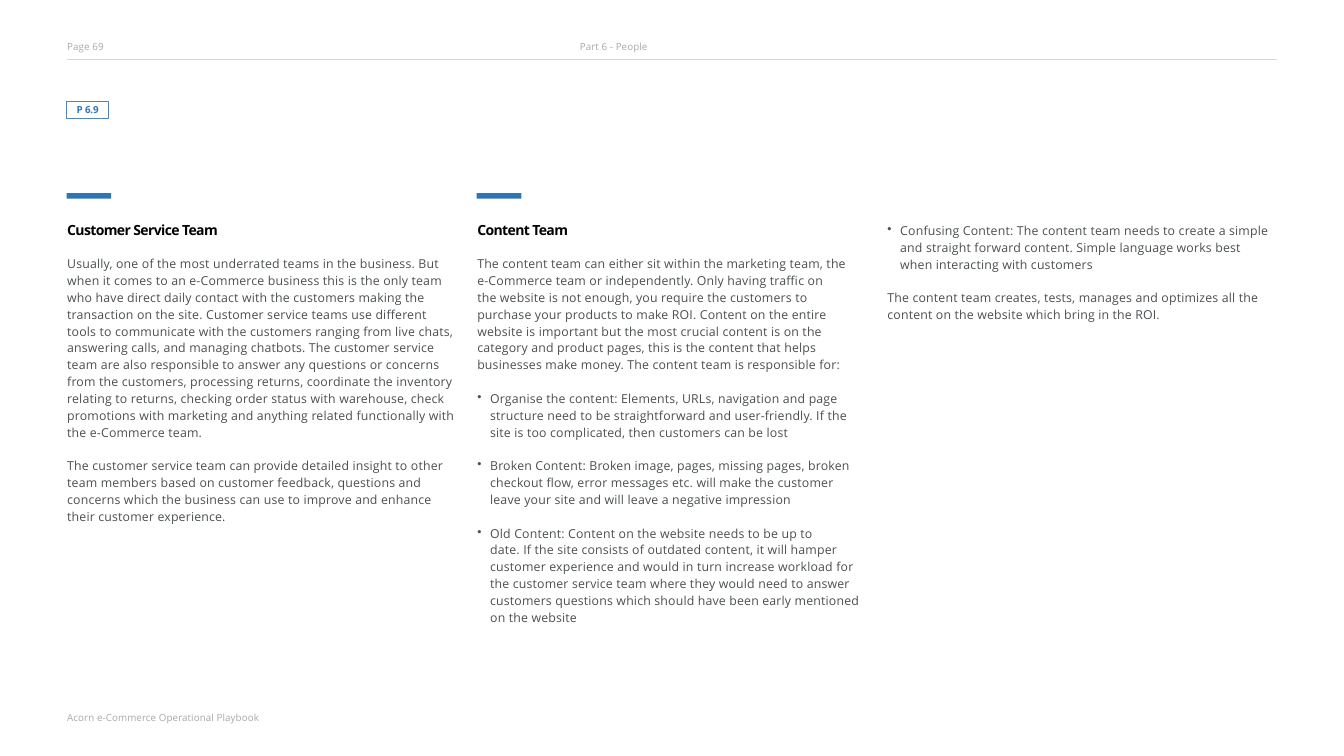
from pptx import Presentation
from pptx.dml.color import RGBColor
from pptx.enum.shapes import MSO_CONNECTOR, MSO_SHAPE
from pptx.enum.text import MSO_ANCHOR, PP_ALIGN
from pptx.oxml.ns import qn
from pptx.util import Inches, Pt
from lxml.etree import SubElement

BLUE = RGBColor(0x2E, 0x75, 0xB5)
EDGE = RGBColor(0x53, 0x83, 0xBD)
BLACK = RGBColor(0, 0, 0)
INK = RGBColor(0x4B, 0x4F, 0x51)
GREY = RGBColor(0xA7, 0xA8, 0xAA)
RULE = RGBColor(0xD8, 0xDA, 0xD9)

BODY = dict(size=14.5, color=INK, track=0.2, lead=1.14)
HEAD = dict(size=16.5, color=BLACK, track=-0.7, bold=True)
NOTE = dict(size=11.5, color=GREY, track=0.1)
ITEM = dict(BODY, indent=0.21, mark="•")
MORE = dict(BODY, indent=0.21)


def write(par, text, size, color, track=0, bold=False, lead=None,
          before=0, indent=0, mark=None, align=None):
    """Fill one paragraph; a vertical tab in the text is a line break."""
    props = par._p.get_or_add_pPr()
    if indent:
        props.set("marL", str(Inches(indent)))
    if mark:
        props.set("indent", str(-Inches(indent)))
        SubElement(props, qn("a:buChar")).set("char", mark)
    if lead:
        par.line_spacing = lead
    par.space_before = Pt(before)
    par.alignment = align
    for index, line in enumerate(text.split("\v")):
        if index:
            par.add_line_break()
        run = par.add_run()
        run.text = line
        font = run.font
        font.name, font.size, font.bold = "Open Sans", Pt(size), bold
        font.color.rgb = color
        run._r.get_or_add_rPr().set("spc", str(round(track * 100)))


class Page:
    """A slide on a grid of three columns and rows of equal pitch."""
    left, top = 1.09, 3.6
    pitch, step = 6.71, 1.1

    def __init__(self, deck):
        self.slide = deck.slides.add_slide(deck.slide_layouts[6])
        self.shapes = self.slide.shapes

    def spot(self, col, row):
        return (Inches(self.left + col * self.pitch),
                Inches(self.top + row * self.step))

    def text(self, col, row, wide, high, *parts):
        box = self.shapes.add_textbox(*self.spot(col, row),
                                      Inches(wide), Inches(high))
        frame = box.text_frame
        frame.word_wrap = True
        frame.margin_left, frame.margin_top = Inches(0.01), Inches(0.02)
        frame.margin_right = frame.margin_bottom = 0
        for index, (words, style) in enumerate(parts):
            par = frame.add_paragraph() if index else frame.paragraphs[0]
            write(par, words, **style)

    def rect(self, col, row, wide, high, fill=None, line=None):
        box = self.shapes.add_shape(MSO_SHAPE.RECTANGLE, *self.spot(col, row),
                                    Inches(wide), Inches(high))
        box.shadow.inherit = False
        if fill is not None:
            box.fill.solid()
            box.fill.fore_color.rgb = fill
        else:
            box.fill.background()
        if line is not None:
            box.line.color.rgb = line
            box.line.width = Pt(0.82)
        else:
            box.line.fill.background()
        return box

    def badge(self, col, row, words):
        box = self.rect(col, row, 0.69, 0.28, line=EDGE)
        frame = box.text_frame
        frame.margin_left = frame.margin_right = 0
        frame.margin_top = frame.margin_bottom = 0
        frame.vertical_anchor = MSO_ANCHOR.MIDDLE
        write(frame.paragraphs[0], words, size=11.5, color=BLUE,
              track=-0.2, bold=True, align=PP_ALIGN.CENTER)

    def rule(self, row, wide):
        x, y = self.spot(0, row)
        line = self.shapes.add_connector(MSO_CONNECTOR.STRAIGHT,
                                         x, y, x + Inches(wide), y)
        line.line.color.rgb = RULE
        line.line.width = Pt(0.1)
        SubElement(line._element.spPr, qn("a:effectLst"))


def main():
    deck = Presentation()
    deck.slide_width, deck.slide_height = Inches(21.99), Inches(12.37)
    page = Page(deck)
    first = dict(BODY, before=19.4)

    # Header and footer
    page.rule(-2.4, 19.8)
    page.text(0, -2.68, 1, 0.22, ("Page 69", NOTE))
    page.text(1.25, -2.68, 1.5, 0.22, ("Part 6 - People", NOTE))
    page.text(0, 7.3, 4, 0.25, ("Acorn e-Commerce Operational Playbook", NOTE))

    # Section badge and column bars
    page.badge(0, -1.77, "P 6.9")
    for col in range(2):
        page.rect(col, -0.4, 0.73, 0.09, fill=BLUE)

    # Customer service column
    page.text(0, 0, 6.37, 3.6, ("Customer Service Team", HEAD), (
        "Usually, one of the most underrated teams in the business. But when "
        "it comes to an e-Commerce business this is the only team who have "
        "direct daily contact with the customers making the transaction on "
        "the site. Customer service teams use different tools to communicate "
        "with the customers ranging from live chats, answering calls, and "
        "managing chatbots. The customer service team are also responsible "
        "to answer any questions or concerns from the customers, processing "
        "returns, coordinate the inventory relating to returns, checking "
        "order status with warehouse, check promotions with marketing and "
        "anything related functionally with the e-Commerce team.", first))
    page.text(0, 3.5, 6.37, 1.13, (
        "The customer service team can provide detailed insight to other "
        "team members based on customer feedback, questions and concerns "
        "which the business can use to improve and enhance their customer "
        "experience.", BODY))

    # Content column
    page.text(1, 0, 6.1, 2.5, ("Content Team", HEAD), (
        "The content team can either sit within the marketing team, the "
        "e-Commerce team or independently. Only having traffic on\vthe "
        "website is not enough, you require the customers to purchase your "
        "products to make ROI. Content on the entire website is important "
        "but the most crucial content is on the category and product pages, "
        "this is the content that helps businesses make money. The content "
        "team is responsible for:", first))
    page.text(1, 2.5, 6.32, 0.85, (
        "Organise the content: Elements, URLs, navigation and page structure "
        "need to be straightforward and user-friendly. If the site is too "
        "complicated, then customers can be lost", ITEM))
    page.text(1, 3.5, 6.32, 0.85, (
        "Broken Content: Broken image, pages, missing pages, broken checkout "
        "flow, error messages etc. will make the customer leave your site "
        "and will leave a negative impression", ITEM))
    page.text(1, 4.5, 6.32, 1.68, (
        "Old Content: Content on the website needs to be up to\vdate. If the "
        "site consists of outdated content, it will hamper", ITEM), (
        "customer experience and would in turn increase workload for the "
        "customer service team where they would need to answer customers "
        "questions which should have been early mentioned on the website",
        MORE))

    # Third column
    page.text(2, 0, 6.32, 0.85, (
        "Confusing Content: The content team needs to create a simple and "
        "straight forward content. Simple language works best when "
        "interacting with customers", ITEM))
    page.text(2, 1, 6.32, 0.58, (
        "The content team creates, tests, manages and optimizes all the "
        "content on the website which bring in the ROI.", BODY))

    deck.save("out.pptx")


if __name__ == "__main__":
    main()
